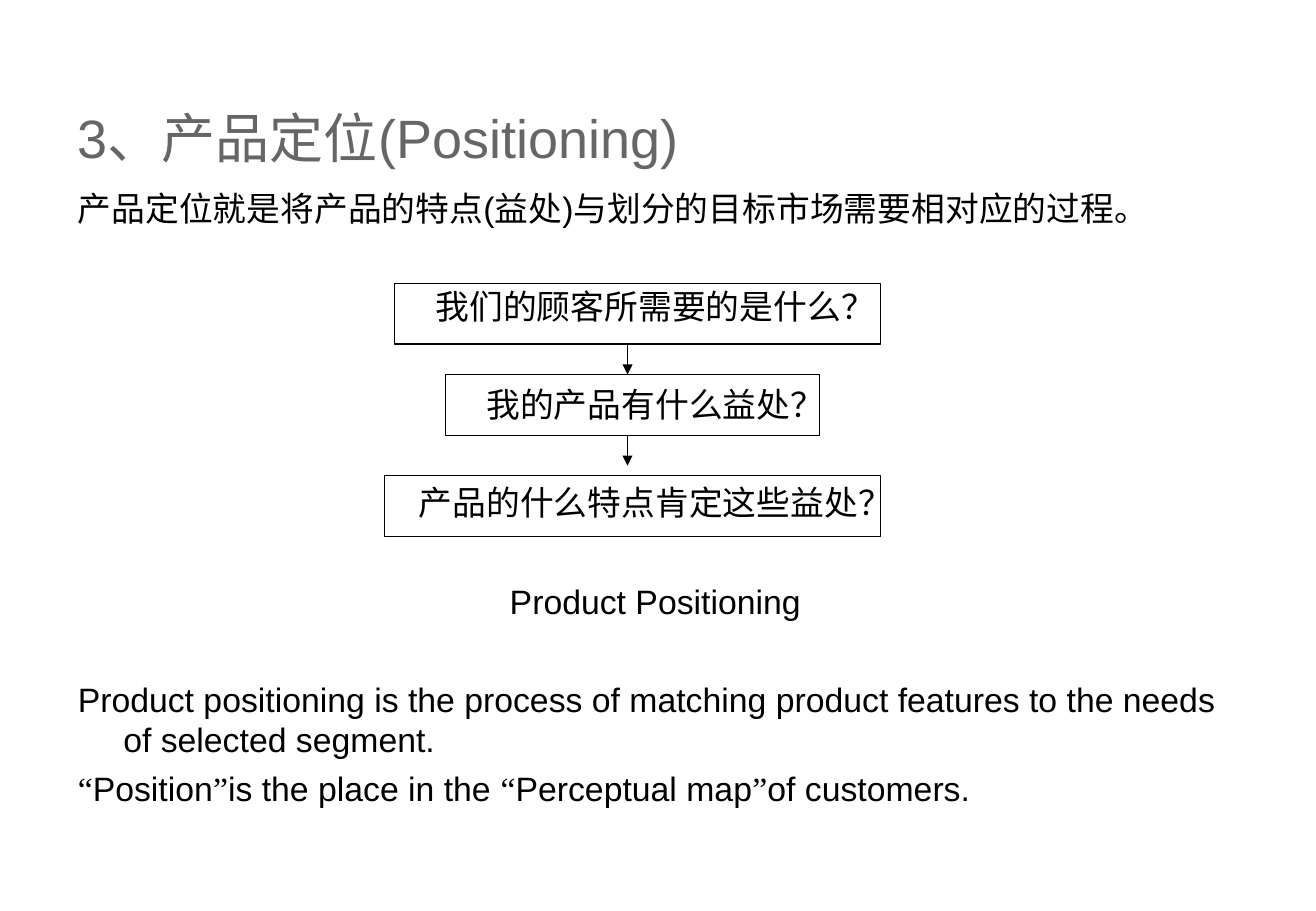
import pptx
import pptx.util
import pptx.dml.color
import pptx.enum.shapes
import pptx.enum.text
import pptx.oxml.ns
import lxml.etree
from dataclasses import dataclass

Pt = pptx.util.Pt
Align = pptx.enum.text.PP_ALIGN


@dataclass(frozen=True)
class Theme:
    title_color: str = "666666"
    ink: str = "000000"
    font: str = "Arial"
    quote_font: str = "Times New Roman"
    title_size: float = 32
    body_size: float = 20
    line_width: float = 0.75
    hanging: float = 27
    near_gap: float = 5
    far_gap: float = 34.1


theme = Theme()
SLIDE_SIZE = (780.12, 540)
TITLE = "3、产品定位(Positioning)"
TITLE_BOX = (39, 60, 663, 42)
BODY_BOX = (39, 108, 699, 432)
BODY = [
    (["产品定位就是将产品的特点(益处)与划分的目标市场需要相对应的过程。"], Align.LEFT, 0),
    (["我们的顾客所需要的是什么？"], Align.CENTER, theme.far_gap),
    (["我的产品有什么益处？"], Align.CENTER, theme.far_gap),
    (["产品的什么特点肯定这些益处？"], Align.CENTER, theme.far_gap),
    (["Product Positioning"], Align.CENTER, theme.far_gap),
    (["Product positioning is the process of matching product features "
      "to the needs of selected segment."], Align.LEFT, theme.far_gap),
    (["“", "Position", "”", "is the place in the ", "“", "Perceptual map", "”",
      "of customers."], Align.JUSTIFY, theme.near_gap),
]
QUESTION_FRAMES = [(234, 168, 288), (264, 222, 222), (228, 282, 294)]
FRAME_HEIGHT = 36
ARROW_X = 372
ARROW_LENGTH = 18


def rgb(value):
    return pptx.dml.color.RGBColor.from_string(value)


def add_text_frame(slide, box):
    frame = slide.shapes.add_textbox(*map(Pt, box)).text_frame
    frame.word_wrap = True
    return frame


def add_run(paragraph, text, size, color):
    run = paragraph.add_run()
    run.text = text
    run.font.size = Pt(size)
    run.font.name = theme.quote_font if text in "“”" else theme.font
    run.font.color.rgb = rgb(color)


def style_line(shape):
    shape.line.color.rgb = rgb(theme.ink)
    shape.line.width = Pt(theme.line_width)


def add_title(slide):
    frame = add_text_frame(slide, TITLE_BOX)
    frame.vertical_anchor = pptx.enum.text.MSO_ANCHOR.MIDDLE
    add_run(frame.paragraphs[0], TITLE, theme.title_size, theme.title_color)


def add_body(slide):
    frame = add_text_frame(slide, BODY_BOX)
    for index, (pieces, alignment, gap) in enumerate(BODY):
        paragraph = frame.add_paragraph() if index else frame.paragraphs[0]
        paragraph.alignment = alignment
        paragraph.space_before = Pt(gap)
        properties = paragraph._p.get_or_add_pPr()
        properties.set("marL", str(Pt(theme.hanging)))
        properties.set("indent", str(-Pt(theme.hanging)))
        for piece in pieces:
            add_run(paragraph, piece, theme.body_size, theme.ink)


def add_question_frame(slide, left, top, width):
    shape = slide.shapes.add_shape(
        pptx.enum.shapes.MSO_SHAPE.RECTANGLE, *map(Pt, (left, top, width, FRAME_HEIGHT)))
    shape.shadow.inherit = False
    shape.fill.background()
    style_line(shape)


def add_arrow(slide, top):
    arrow = slide.shapes.add_connector(
        pptx.enum.shapes.MSO_CONNECTOR.STRAIGHT,
        *map(Pt, (ARROW_X, top, ARROW_X, top + ARROW_LENGTH)))
    style_line(arrow)
    qualified = pptx.oxml.ns.qn
    head = lxml.etree.SubElement(arrow.line._get_or_add_ln(), qualified("a:tailEnd"))
    head.set("type", "triangle")
    lxml.etree.SubElement(arrow._element.spPr, qualified("a:effectLst"))


def main():
    presentation = pptx.Presentation()
    presentation.slide_width, presentation.slide_height = map(Pt, SLIDE_SIZE)
    slide = presentation.slides.add_slide(presentation.slide_layouts[6])
    add_title(slide)
    add_body(slide)
    for frame in QUESTION_FRAMES:
        add_question_frame(slide, *frame)
    for left, top, width in QUESTION_FRAMES[:-1]:
        add_arrow(slide, top + FRAME_HEIGHT)
    presentation.save("out.pptx")


if __name__ == "__main__":
    main()
